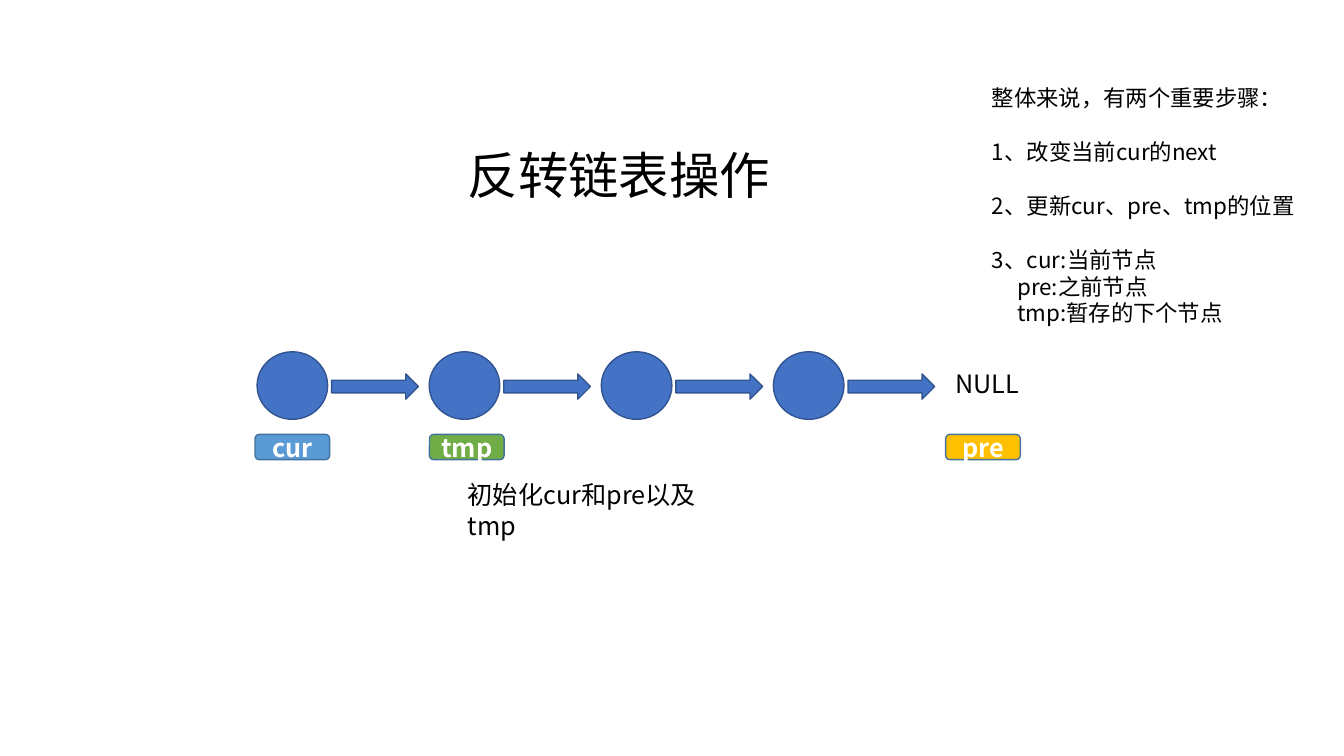
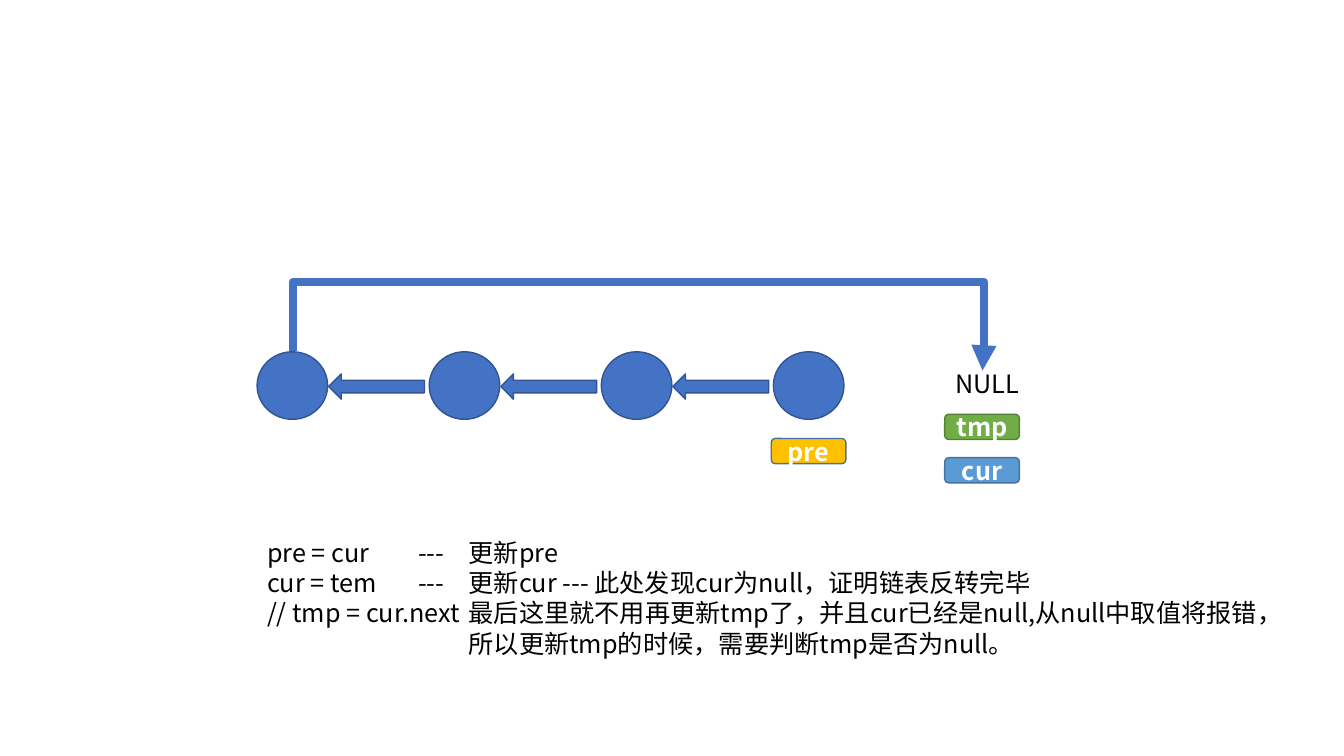
from lxml import etree
from pptx import Presentation
from pptx.dml.color import RGBColor
from pptx.enum.shapes import MSO_CONNECTOR, MSO_SHAPE
from pptx.enum.text import MSO_ANCHOR, PP_ALIGN
from pptx.oxml.ns import qn
from pptx.util import Inches, Pt

FONT = "Noto Sans CJK SC"
COLORS = {
    "node": "4472C4", "node_line": "325491", "label_line": "43739E",
    "cur": "5B9BD5", "pre": "FFC000", "tmp": "70AD47", "tmp_line": "538035",
    "text": "000000", "label_text": "FFFFFF",
}
# Linked list grid
NODE_LEFT, NODE_TOP, NODE_STEP = 2.55, 3.49, 1.707
NODE_WIDTH, NODE_HEIGHT, NODE_COUNT = 0.7, 0.67, 4
ARROW_TOP, ARROW_HEIGHT = 3.71, 0.25
LABEL_WIDTH, LABEL_HEIGHT = 0.74, 0.25
NULL_LEFT = 9.38


def color(name):
    return RGBColor.from_string(COLORS[name])


def add_run(paragraph, text, size, color_name="text", bold=False):
    run = paragraph.add_run()
    run.text = text
    run.font.size = Pt(size)
    run.font.name = FONT
    run.font.bold = bold
    run.font.color.rgb = color(color_name)
    east_asian = etree.SubElement(run.font._element, qn("a:ea"))
    east_asian.set("typeface", FONT)


def add_text(slide, box, lines, size=18, tab_stops=()):
    """Each line is (text, left indent in inches, space before in points)."""
    frame = slide.shapes.add_textbox(*map(Inches, box)).text_frame
    frame.word_wrap = True
    for index, (text, indent, space) in enumerate(lines):
        paragraph = frame.paragraphs[0] if index == 0 else frame.add_paragraph()
        paragraph.space_before = Pt(space)
        properties = paragraph._p.get_or_add_pPr()
        properties.set("marL", str(Inches(indent)))
        properties.set("indent", "0")
        if tab_stops:
            tab_list = etree.SubElement(properties, qn("a:tabLst"))
            for stop in tab_stops:
                etree.SubElement(tab_list, qn("a:tab"), pos=str(Inches(stop)), algn="l")
        add_run(paragraph, text, size)


def add_filled_shape(slide, kind, box, fill, line):
    shape = slide.shapes.add_shape(kind, *map(Inches, box))
    shape.shadow.inherit = False
    shape.fill.solid()
    shape.fill.fore_color.rgb = color(fill)
    shape.line.color.rgb = color(line)
    shape.line.width = Pt(1)
    return shape


def add_label(slide, name, left, top, line="label_line"):
    box = (left, top, LABEL_WIDTH, LABEL_HEIGHT)
    frame = add_filled_shape(slide, MSO_SHAPE.ROUNDED_RECTANGLE, box, name, line).text_frame
    frame.vertical_anchor = MSO_ANCHOR.MIDDLE
    paragraph = frame.paragraphs[0]
    paragraph.alignment = PP_ALIGN.CENTER
    add_run(paragraph, name, 18, "label_text", bold=True)


def add_linked_list(slide, arrow_kind, arrow_left, arrow_width, arrow_count):
    """Row of nodes with the block arrows between them and the closing NULL."""
    for index in range(NODE_COUNT):
        offset = index * NODE_STEP
        add_filled_shape(slide, MSO_SHAPE.OVAL,
                         (NODE_LEFT + offset, NODE_TOP, NODE_WIDTH, NODE_HEIGHT),
                         "node", "node_line")
        if index < arrow_count:
            add_filled_shape(slide, arrow_kind,
                             (arrow_left + offset, ARROW_TOP, arrow_width, ARROW_HEIGHT),
                             "node", "node_line")
    add_text(slide, (NULL_LEFT, 3.61, 2.4, 0.4), [("NULL", 0, 0)])


def add_null_link(slide):
    """Bent arrow from the first node over the row to NULL."""
    # The frame is turned by 270 degrees, so its ends are given unturned
    connector = slide.shapes.add_connector(
        MSO_CONNECTOR.ELBOW, Inches(6.42), Inches(0.16), Inches(6.23), Inches(7))
    connector.line.color.rgb = color("node")
    connector.line.width = Pt(6)
    properties = connector._element.spPr
    properties.find(qn("a:xfrm")).set("rot", str(270 * 60000))
    geometry = properties.find(qn("a:prstGeom"))
    geometry.set("prst", "bentConnector4")
    guides = geometry.find(qn("a:avLst"))
    if guides is None:
        guides = etree.SubElement(geometry, qn("a:avLst"))
    for name, value in (("adj1", -361700), ("adj2", 100200)):
        etree.SubElement(guides, qn("a:gd"), name=name, fmla=f"val {value}")
    etree.SubElement(connector.line._get_or_add_ln(), qn("a:tailEnd"), type="triangle")
    etree.SubElement(properties, qn("a:effectLst"))


def build_start_slide(slide):
    add_linked_list(slide, MSO_SHAPE.RIGHT_ARROW, 3.29, 0.86, NODE_COUNT)
    # Pointer labels
    for name, left in (("cur", 2.53), ("tmp", 4.26), ("pre", NULL_LEFT)):
        add_label(slide, name, left, 4.31)
    # Title and caption
    add_text(slide, (4.54, 1.38, 3.23, 0.71), [("反转链表操作", 0, 0)], size=36)
    add_text(slide, (4.54, 4.71, 2.85, 0.4), [("初始化cur和pre以及tmp", 0, 0)])
    # Steps
    gap = 19.2
    add_text(slide, (9.74, 0.79, 6.49, 2.52), [
        ("整体来说，有两个重要步骤：", 0, 0),
        ("1、改变当前cur的next", 0, gap),
        ("2、更新cur、pre、tmp的位置", 0, gap),
        ("3、cur:当前节点", 0, gap),
        ("pre:之前节点", 0.25, 0),
        ("tmp:暂存的下个节点", 0.25, 0),
    ], size=16)


def build_end_slide(slide):
    add_linked_list(slide, MSO_SHAPE.LEFT_ARROW, 3.26, 0.95, NODE_COUNT - 1)
    add_null_link(slide)
    # Pointer labels
    add_label(slide, "pre", 7.65, 4.35)
    add_label(slide, "tmp", 9.37, 4.11, "tmp_line")
    add_label(slide, "cur", 9.37, 4.54)
    # Explanation
    add_text(slide, (2.55, 5.28, 10.12, 1.31), [
        ("pre = cur\t---\t更新pre", 0, 0),
        ("cur = tem\t---\t更新cur --- 此处发现cur为null，证明链表反转完毕", 0, 0),
        ("// tmp = cur.next\t最后这里就不用再更新tmp了，并且cur已经是null,从null中取值将报错，", 0, 0),
        ("所以更新tmp的时候，需要判断tmp是否为null。", 2, 0),
    ], tab_stops=(1.19, 1.62, 2.09))


presentation = Presentation()
presentation.slide_width = Inches(13.33)
presentation.slide_height = Inches(7.5)
for build_slide in (build_start_slide, build_end_slide):
    build_slide(presentation.slides.add_slide(presentation.slide_layouts[6]))
presentation.save("out.pptx")
